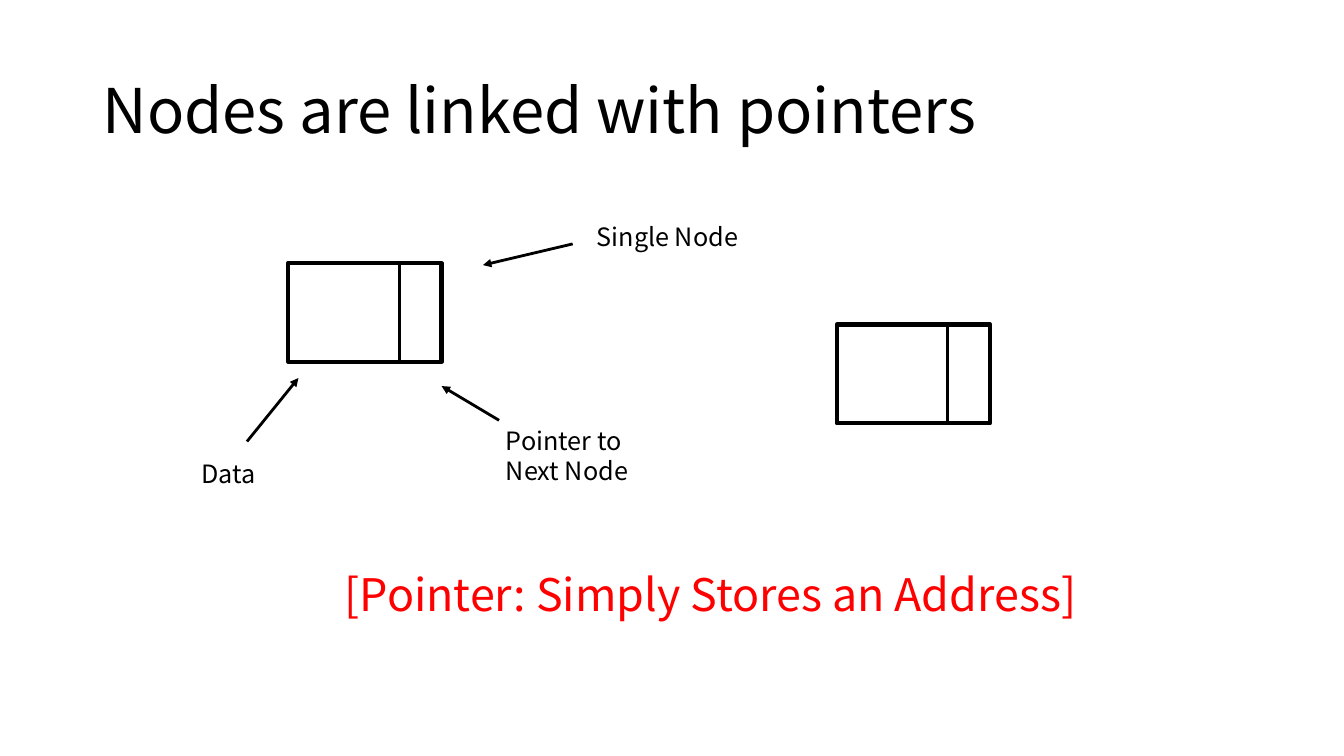
import pptx
import pptx.util
import pptx.dml.color
import pptx.enum.shapes
import pptx.enum.text
import pptx.oxml
import pptx.oxml.ns

Inches = pptx.util.Inches
FONT = "Noto Sans CJK KR"
BLACK, RED = "000000", "FF0000"


def color(value):
    return pptx.dml.color.RGBColor.from_string(value)


def add_text(s, box, text, size, fill=BLACK, spacing=None,
             anchor=pptx.enum.text.MSO_ANCHOR.TOP):
    tf = s.shapes.add_textbox(*map(Inches, box)).text_frame
    tf.word_wrap = True
    tf.vertical_anchor = anchor
    tf.text = text
    p = tf.paragraphs[0]
    p.line_spacing = spacing
    r = p.runs[0]
    r.font.name = FONT
    r.font.size = pptx.util.Pt(size)
    r.font.color.rgb = color(fill)


def add_line(shapes, start, end, arrow=False):
    line = shapes.add_connector(pptx.enum.shapes.MSO_CONNECTOR.STRAIGHT,
                                *map(Inches, (*start, *end)))
    line.line.color.rgb = color(BLACK)
    line.line.width = pptx.util.Pt(2)
    props = line._element.spPr
    if arrow:
        tail = pptx.oxml.parse_xml(
            f'<a:tailEnd {pptx.oxml.ns.nsdecls("a")} type="triangle"/>')
        props.find(pptx.oxml.ns.qn("a:ln")).append(tail)
    props.append(pptx.oxml.parse_xml(
        f'<a:effectLst {pptx.oxml.ns.nsdecls("a")}/>'))


def add_node(s, left, top, width=1.52, height=0.98, data_width=1.1):
    group = s.shapes.add_group_shape()
    # Outer cell
    cell = group.shapes.add_shape(
        pptx.enum.shapes.MSO_SHAPE.RECTANGLE,
        *map(Inches, (left, top, width, height)))
    cell.shadow.inherit = False
    cell.fill.background()
    cell.line.color.rgb = color(BLACK)
    cell.line.width = pptx.util.Pt(3)
    # Divider between data and pointer
    x = left + data_width
    add_line(group.shapes, (x, top), (x, top + height))


def add_labelled_node(s, left, top):
    add_node(s, left, top)
    # Label offset and size, then arrow start and end, from the node's corner
    labels = [
        ("Single Node", (2.96, -0.46), 0.4, (2.82, -0.19), (1.93, 0.02)),
        ("Data", (-0.96, 1.89), 0.4, (-0.41, 1.77), (0.1, 1.14)),
        ("Pointer to Next Node", (2.06, 1.56), 0.71, (2.09, 1.56), (1.52, 1.22)),
    ]
    for text, (dx, dy), height, start, end in labels:
        add_text(s, (left + dx, top + dy, 1.91, height), text, 18)
        add_line(s.shapes, (left + start[0], top + start[1]),
                 (left + end[0], top + end[1]), arrow=True)


def main():
    prs = pptx.Presentation()
    prs.slide_width, prs.slide_height = Inches(13.33), Inches(7.5)
    s = prs.slides.add_slide(prs.slide_layouts[6])

    # Title
    add_text(s, (0.92, 0.4, 11.5, 1.45), "Nodes are linked with pointers", 44,
             spacing=0.9, anchor=pptx.enum.text.MSO_ANCHOR.MIDDLE)
    # Nodes
    add_labelled_node(s, 2.86, 2.61)
    add_node(s, 8.3, 3.22)
    # Definition
    add_text(s, (3.32, 5.57, 7.71, 0.64),
             "[Pointer: Simply Stores an Address]", 32, RED)

    prs.save("out.pptx")


if __name__ == "__main__":
    main()
